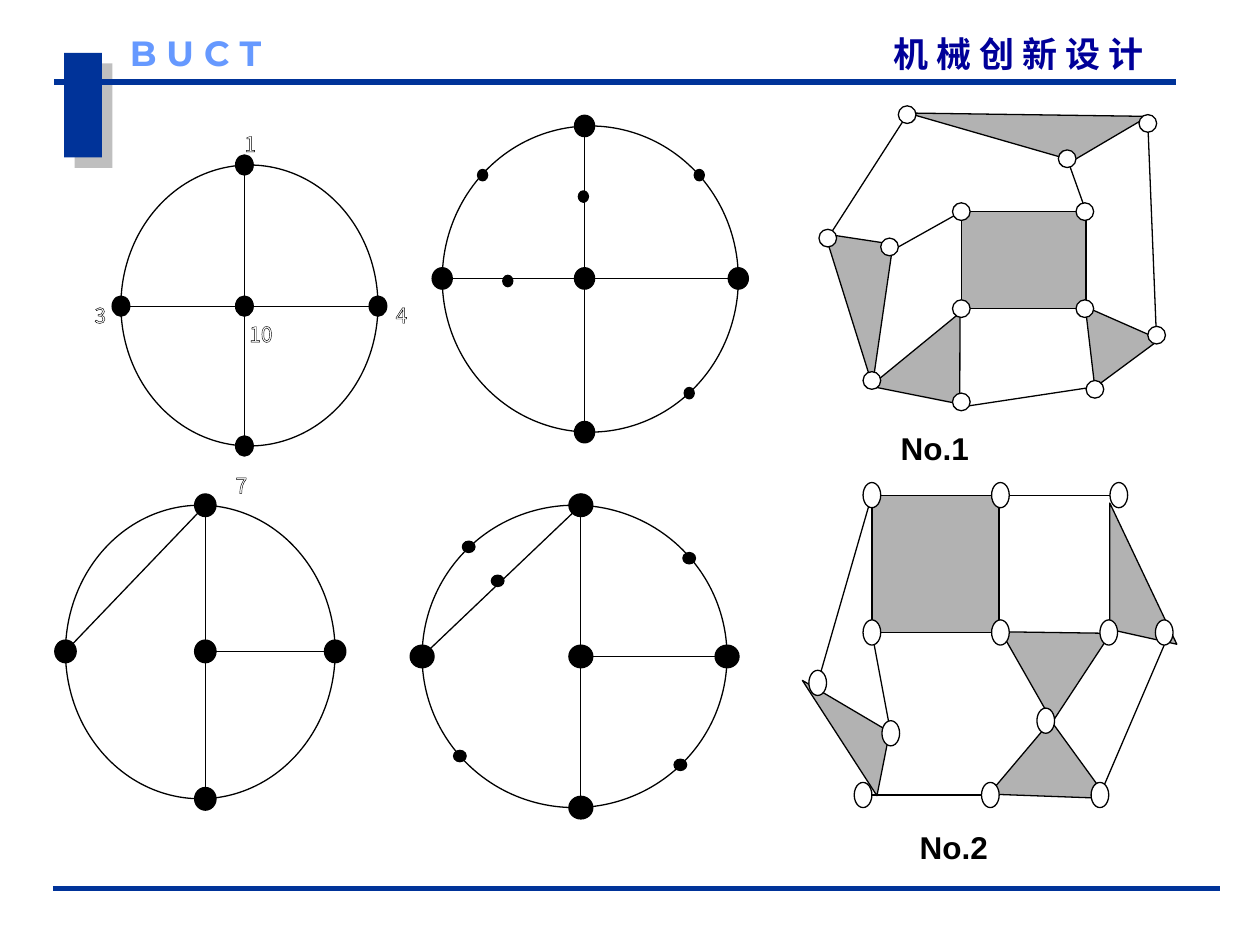
from lxml.etree import SubElement
from pptx import Presentation
from pptx.dml.color import RGBColor as RGB
from pptx.enum.shapes import MSO_CONNECTOR as CONN, MSO_SHAPE as SHAPE
from pptx.oxml.ns import qn
from pptx.util import Cm, Pt

COLORS = {"navy": "003399", "title": "000099", "sky": "6699FF", "shadow": "808080",
          "black": "000000", "white": "FFFFFF", "link": "B2B2B2"}

HEADING = dict(size=20, bold=True, inset=(0, 0))
CAPTION = dict(size=18, bold=True, font="Arial", color="black", inset=(0.1, 0.05))
LABEL = dict(size=12, bold=False, font="Noto Sans CJK SC", color="white",
             inset=(0.1, 0.05), wrap=False, outline=True)

TEXTS = [
    ("机 械 创 新 设 计", (5.44, 0.26, 4.1, 0.33),
     dict(HEADING, font="Noto Sans CJK SC", color="title", indent=1.65)),
    ("B U C T", (1.03, 0.25, 1.42, 0.33), dict(HEADING, font="Montserrat", color="sky")),
    ("No.1", (7.05, 3.36, 1.65, 0.4), CAPTION),
    ("No.2", (7.2, 6.52, 1.65, 0.4), CAPTION),
]
VERTEX_LABELS = [
    ("1", (1.94, 0.99, 0.07, 0.16)), ("3", (0.75, 2.35, 0.07, 0.16)),
    ("4", (3.14, 2.35, 0.07, 0.16)), ("7", (1.87, 3.7, 0.07, 0.16)),
    ("10", (1.88, 2.5, 0.42, 0.16)),
]
RULES = [((0.43, 0.65), (9.33, 0.65)), ((0.42, 7.05), (9.68, 7.05))]

GRAPHS = [
    dict(x=(0.96, 1.94, 3), y=(1.31, 2.43, 3.54), chords=("WE", "NS"),
         vertex=(0.14, 0.16), bead=None, beads=[], labels=VERTEX_LABELS),
    dict(x=(3.51, 4.64, 5.86), y=(1, 2.21, 3.43), chords=("WE", "NS"),
         vertex=(0.16, 0.17), bead=(0.08, 0.09), labels=[],
         beads=[(3.83, 1.39), (5.55, 1.39), (5.47, 3.12), (4.03, 2.23), (4.63, 1.56)]),
    dict(x=(0.52, 1.63, 2.66), y=(4.01, 5.17, 6.34), chords=("NW", "NS", "CE"),
         vertex=(0.17, 0.18), bead=None, beads=[], labels=[]),
    dict(x=(3.35, 4.61, 5.77), y=(4.01, 5.21, 6.41), chords=("NW", "NS", "CE"),
         vertex=(0.19, 0.18), bead=(0.1, 0.09), labels=[],
         beads=[(3.95, 4.61), (3.65, 6), (5.4, 6.07), (5.47, 4.43), (3.72, 4.34)]),
]

LINKAGES = [
    dict(square=(7.63, 1.68, 0.99, 0.77), joint=(0.14, 0.14),
         triangles=[((7.2, 0.91, 1.91, 0.36), 180.8, 0.31), ((6.98, 2.71, 0.92, 0.56), 140.7, 0.5),
                    ((6.34, 2.14, 1.26, 0.49), 72.6, 0.19), ((8.46, 2.38, 0.64, 0.56), 323.5, 0.5)],
         bars=[((8.47, 1.26), (8.62, 1.68)), ((9.11, 0.98), (9.18, 2.72)),
               ((7.63, 1.68), (7.13, 1.96)), ((7.2, 0.91), (6.57, 1.89)),
               ((7.63, 3.23), (8.69, 3.07))],
         joints=[(7.63, 3.19), (7.06, 1.96), (8.69, 3.09), (9.18, 2.66), (9.11, 0.98),
                 (6.57, 1.89), (6.92, 3.02), (8.61, 2.45), (7.63, 2.45), (8.61, 1.68),
                 (7.63, 1.68), (8.47, 1.26), (7.2, 0.91)]),
    dict(square=(6.92, 3.93, 1.01, 1.09), joint=(0.14, 0.2),
         triangles=[((7.94, 5.02, 0.87, 0.71), 180.8, 0.52), ((7.86, 5.72, 0.94, 0.6), 2.1, 0.5),
                    ((6.27, 5.58, 1.09, 0.36), 57.1, 0.66), ((8.26, 4.43, 1.24, 0.43), 244.6, 0.27)],
         bars=[((6.92, 3.93), (6.49, 5.42)), ((6.92, 5.02), (7.07, 5.82)),
               ((6.85, 6.31), (7.86, 6.31)), ((9.24, 5.12), (8.73, 6.31)),
               ((7.94, 3.93), (8.88, 3.93))],
         joints=[(9.24, 5.02), (8.88, 3.93), (8.8, 5.02), (8.3, 5.72), (8.73, 6.31),
                 (7.86, 6.31), (6.85, 6.31), (7.07, 5.82), (6.49, 5.42), (7.94, 5.02),
                 (6.92, 5.02), (7.94, 3.93), (6.92, 3.93)]),
]


def inch(v):
    return Cm(v * 2.54)


def rgb(name):
    return RGB.from_string(COLORS[name])


def add_solid(parent, name):
    fill = SubElement(parent, qn("a:solidFill"))
    return SubElement(fill, qn("a:srgbClr"), val=COLORS[name])


def add_shape(shapes, kind, box, fill, line="black"):
    sp = shapes.add_shape(kind, *map(inch, box))
    sp.shadow.inherit = False
    sp.fill.solid()
    sp.fill.fore_color.rgb = rgb(fill)
    if line:
        sp.line.color.rgb = rgb(line)
        sp.line.width = Pt(0.75)
    else:
        sp.line.fill.background()
    return sp


def add_line(shapes, start, end, color="black", width=0.75):
    c = shapes.add_connector(CONN.STRAIGHT, *map(inch, start + end))
    c.line.color.rgb = rgb(color)
    c.line.width = Pt(width)
    SubElement(c._element.spPr, qn("a:effectLst"))


def add_dots(shapes, centres, size, fill):
    w, h = size or (0, 0)
    for x, y in centres:
        add_shape(shapes, SHAPE.OVAL, (x - w / 2, y - h / 2, w, h), fill)


def add_text(shapes, text, box, style):
    tf = shapes.add_textbox(*map(inch, box)).text_frame
    dx, dy = map(inch, style["inset"])
    frame = dict(word_wrap=style.get("wrap", True), margin_left=dx, margin_right=dx,
                 margin_top=dy, margin_bottom=dy)
    for name, value in frame.items():
        setattr(tf, name, value)
    p = tf.paragraphs[0]
    if "indent" in style:
        p._p.get_or_add_pPr().set("marL", str(inch(style["indent"])))
    r = p.add_run()
    r.text = text
    for name, value in dict(name=style["font"], size=Pt(style["size"]), bold=style["bold"]).items():
        setattr(r.font, name, value)
    r.font.color.rgb = rgb(style["color"])
    rPr = r._r.get_or_add_rPr()
    SubElement(rPr, qn("a:ea"), typeface=style["font"])
    if style.get("outline"):
        ln = SubElement(rPr, qn("a:ln"), w=str(Pt(0.75)))
        add_solid(ln, "black")
        rPr.insert(0, ln)


def add_banner(shapes):
    sp = add_shape(shapes, SHAPE.RECTANGLE, (0.51, 0.42, 0.3, 0.83), "navy", None)
    effects = sp._element.spPr.find(qn("a:effectLst"))
    shadow = SubElement(effects, qn("a:outerShdw"), blurRad="0", dist=str(Pt(8.5)),
                        dir=str(45 * 60000), algn="ctr", rotWithShape="0")
    color = SubElement(shadow, qn("a:srgbClr"), val=COLORS["shadow"])
    SubElement(color, qn("a:alpha"), val="50000")
    for start, end in RULES:
        add_line(shapes, start, end, "navy", 3)


def add_graph(shapes, g):
    (left, cx, right), (top, cy, bottom) = g["x"], g["y"]
    vertices = dict(E=(right, cy), N=(cx, top), S=(cx, bottom), W=(left, cy), C=(cx, cy))
    add_shape(shapes, SHAPE.OVAL, (left, top, right - left, bottom - top), "white")
    for a, b in g["chords"]:
        add_line(shapes, vertices[a], vertices[b])
    add_dots(shapes, vertices.values(), g["vertex"], "black")
    add_dots(shapes, g["beads"], g["bead"], "black")
    for text, box in g["labels"]:
        add_text(shapes, text, box, LABEL)


def add_linkage(shapes, k):
    add_shape(shapes, SHAPE.RECTANGLE, k["square"], "link")
    for box, angle, apex in k["triangles"]:
        sp = add_shape(shapes, SHAPE.ISOSCELES_TRIANGLE, box, "link")
        sp.rotation = angle
        sp.adjustments[0] = apex
    for start, end in k["bars"]:
        add_line(shapes, start, end)
    add_dots(shapes, k["joints"], k["joint"], "white")


def main():
    prs = Presentation()
    prs.slide_width, prs.slide_height = Cm(25.4), Cm(19.05)
    s = prs.slides.add_slide(prs.slide_layouts[6])
    add_banner(s.shapes)
    for draw, items in ((add_graph, GRAPHS), (add_linkage, LINKAGES)):
        for item in items:
            draw(s.shapes.add_group_shape().shapes, item)
    for text, box, style in TEXTS:
        add_text(s.shapes, text, box, style)
    prs.save("out.pptx")


if __name__ == "__main__":
    main()
